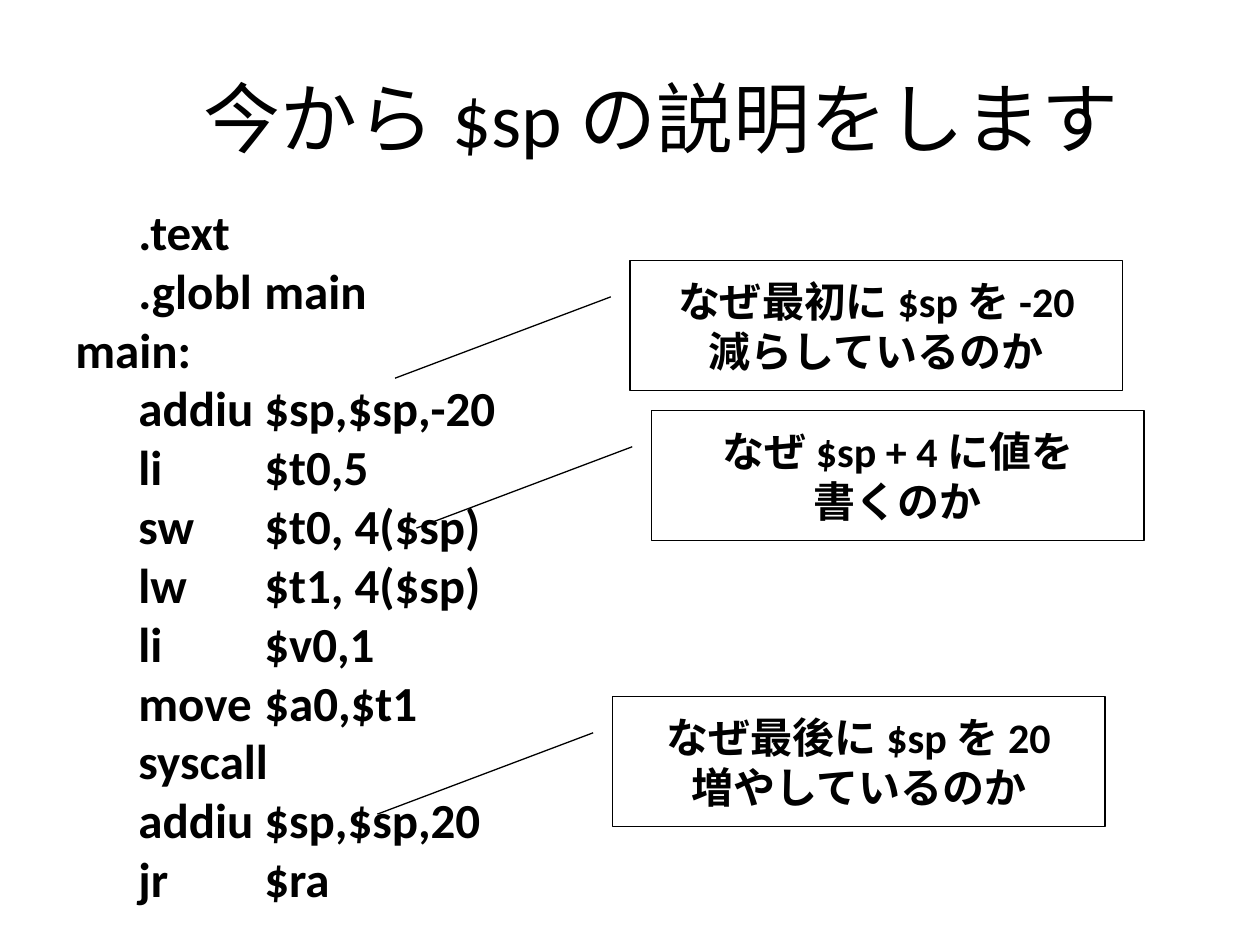
from lxml import etree
from pptx import Presentation
from pptx.dml.color import RGBColor as Rgb
from pptx.enum.shapes import MSO_SHAPE as Shape
from pptx.enum.text import MSO_ANCHOR as Anchor, MSO_AUTO_SIZE as Fit, PP_ALIGN as Align
from pptx.oxml.ns import qn
from pptx.util import Inches, Pt

COLORS = {"ink": "000000"}
FONT = "Calibri"
TAB = 0.5
CODE = [
    "\t.text",
    "\t.globl\tmain",
    "main:",
    "\taddiu\t$sp,$sp,-20",
    "\tli\t\t$t0,5",
    "\tsw\t\t$t0, 4($sp)",
    "\tlw\t\t$t1, 4($sp)",
    "\tli\t\t$v0,1",
    "\tmove\t$a0,$t1",
    "\tsyscall",
    "\taddiu\t$sp,$sp,20",
    "\tjr\t\t$ra",
]
NOTES = [
    (5, 2.07, "なぜ最初に $sp を -20\n減らしているのか"),
    (5.17, 3.26, "なぜ $sp + 4 に値を\n書くのか"),
    (4.86, 5.53, "なぜ最後に $sp を 20\n増やしているのか"),
]


def style(para, size, bold, align):
    """Format a paragraph and its runs."""
    para.alignment = align
    for run in para.runs:
        font = run.font
        font.name, font.size, font.bold = FONT, Pt(size), bold
        font.color.rgb = Rgb.from_string(COLORS["ink"])


def set_tabs(para, count=3):
    """Give a paragraph evenly spaced tab stops."""
    props = para._p.get_or_add_pPr()
    stops = etree.SubElement(props, qn("a:tabLst"))
    for step in range(1, count + 1):
        etree.SubElement(stops, qn("a:tab"), pos=str(Inches(TAB * step)), algn="l")


def add_title(slide, text):
    """Place and format the title."""
    title = slide.shapes.title
    title.left, title.top = Inches(0.5), Inches(0.3)
    title.width, title.height = Inches(9.5), Inches(1.25)
    frame = title.text_frame
    frame.text = text
    frame.vertical_anchor = Anchor.MIDDLE
    style(frame.paragraphs[0], 44, False, Align.CENTER)


def add_code(slide, lines):
    """Add the assembly listing."""
    box = slide.shapes.add_textbox(Inches(0.5), Inches(1.55), Inches(5.85), Inches(5.76))
    frame = box.text_frame
    frame.word_wrap = True
    frame.auto_size = Fit.SHAPE_TO_FIT_TEXT
    frame.text = "\n".join(lines)
    for para in frame.paragraphs:
        style(para, 28, True, Align.LEFT)
        set_tabs(para)


def add_note(slide, left, top, text):
    """Add a callout whose line points down to the left."""
    note = slide.shapes.add_shape(
        Shape.LINE_CALLOUT_1, Inches(left), Inches(top), Inches(3.91), Inches(1.03))
    for index, value in enumerate((0.278, -0.039, 0.905, -0.477)):
        note.adjustments[index] = value
    note.shadow.inherit = False
    note.fill.background()
    note.line.color.rgb = Rgb.from_string(COLORS["ink"])
    note.line.width = Pt(0.75)
    frame = note.text_frame
    frame.word_wrap = True
    frame.vertical_anchor = Anchor.MIDDLE
    para = frame.paragraphs[0]
    para.text = text
    style(para, 24, True, Align.CENTER)


def main():
    """Build and save the slide."""
    deck = Presentation()
    deck.slide_width, deck.slide_height = Inches(10), Inches(7.5)
    slide = deck.slides.add_slide(deck.slide_layouts[5])
    add_title(slide, "今から $sp の説明をします")
    add_code(slide, CODE)
    for left, top, text in NOTES:
        add_note(slide, left, top, text)
    deck.save("out.pptx")


main()
